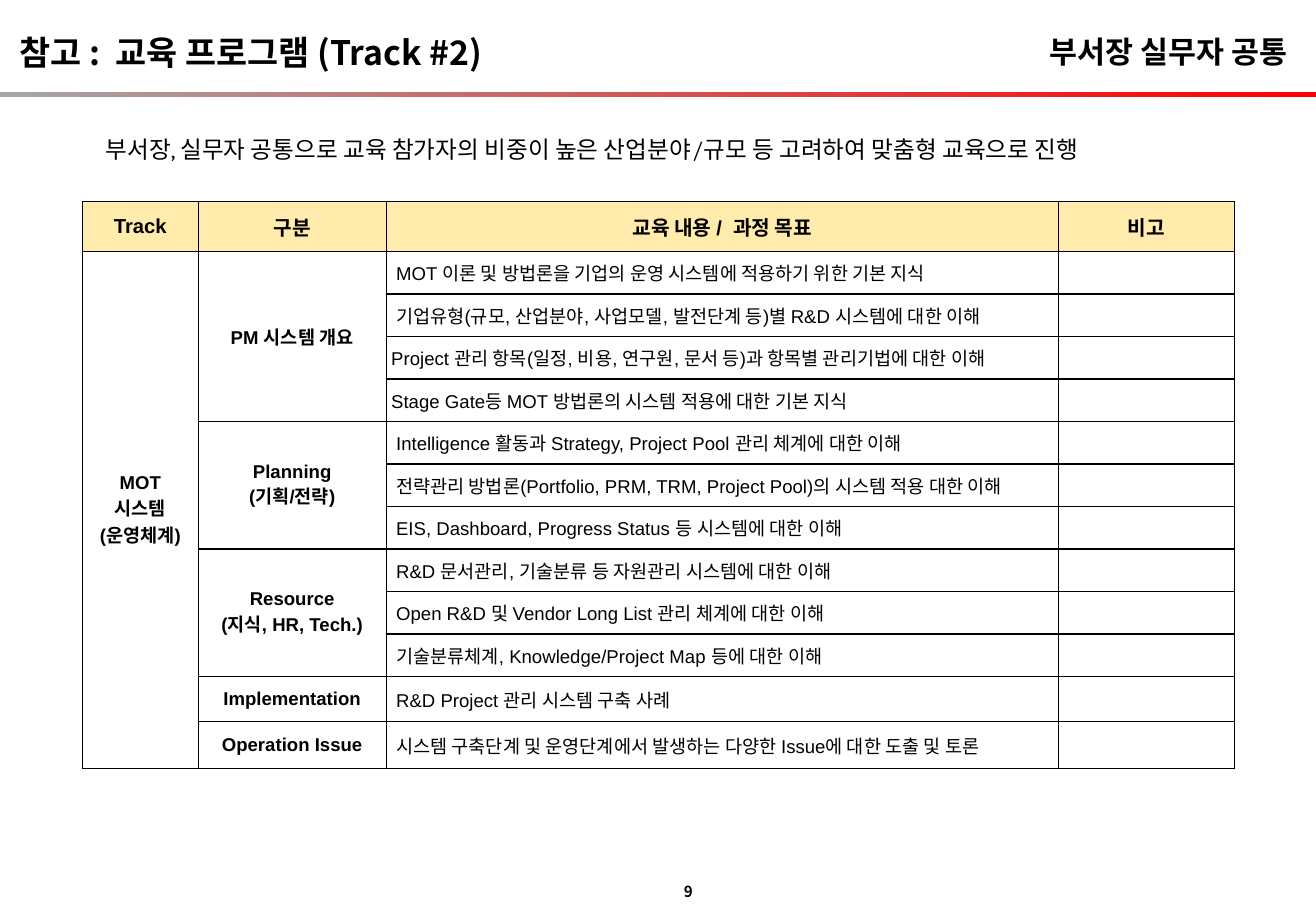
from dataclasses import dataclass

from lxml.etree import SubElement
from pptx import Presentation
from pptx.dml.color import RGBColor
from pptx.enum.shapes import MSO_SHAPE
from pptx.enum.text import MSO_ANCHOR, PP_ALIGN
from pptx.oxml.ns import qn
from pptx.util import Inches, Pt

COLORS = {"ink": "000000", "header": "FFEBAB", "rule_start": "A6A6A6", "rule_end": "FF0000"}
KOREAN_FONT = "Noto Sans CJK KR"
TABLE_FONT = "Arial"
TIGHT, LOOSE = 0.04, 0.08


@dataclass
class Label:
    text: str
    left: float
    top: float
    width: float
    height: float
    size: float
    font: str = KOREAN_FONT
    bold: bool = True
    align: PP_ALIGN = PP_ALIGN.LEFT
    anchor: MSO_ANCHOR = MSO_ANCHOR.TOP


@dataclass
class Course:
    text: str
    inset: float = LOOSE


@dataclass
class Section:
    name: str
    courses: list[Course]


LABELS = [
    Label("부서장 실무자 공통", 8.2, 0.22, 2.49, 0.4, 18,
          align=PP_ALIGN.RIGHT, anchor=MSO_ANCHOR.MIDDLE),
    Label("9", 5.52, 7.21, 0.28, 0.25, 9, align=PP_ALIGN.RIGHT, anchor=MSO_ANCHOR.MIDDLE),
    Label("참고 :  교육 프로그램 (Track #2)", 0.06, 0.21, 4.5, 0.44, 20),
    Label("부서장, 실무자 공통으로 교육 참가자의 비중이 높은 산업분야/규모 등 고려하여 맞춤형 교육으로 진행",
          0.77, 1.06, 8.91, 0.34, 14, font="Cambria", bold=False),
]

HEADERS = ["Track", "구분", "교육 내용 /  과정 목표", "비고"]
TRACK = "MOT\n시스템\n(운영체계)"
SECTIONS = [
    Section("PM 시스템 개요", [
        Course("MOT 이론 및 방법론을 기업의 운영 시스템에 적용하기 위한 기본 지식"),
        Course("기업유형(규모, 산업분야, 사업모델, 발전단계 등)별 R&D 시스템에 대한 이해"),
        Course("Project 관리 항목(일정, 비용, 연구원, 문서 등)과 항목별 관리기법에 대한 이해", TIGHT),
        Course("Stage Gate등 MOT 방법론의 시스템 적용에 대한 기본 지식", TIGHT),
    ]),
    Section("Planning\n(기획/전략)", [
        Course("Intelligence 활동과 Strategy, Project Pool 관리 체계에 대한 이해"),
        Course("전략관리 방법론(Portfolio, PRM, TRM, Project Pool)의 시스템 적용 대한 이해"),
        Course("EIS, Dashboard, Progress Status 등 시스템에 대한 이해"),
    ]),
    Section("Resource\n(지식, HR, Tech.)", [
        Course("R&D 문서관리, 기술분류 등 자원관리 시스템에 대한 이해"),
        Course("Open R&D 및 Vendor Long List 관리 체계에 대한 이해"),
        Course("기술분류체계, Knowledge/Project Map 등에 대한 이해"),
    ]),
    Section("Implementation", [Course("R&D Project 관리 시스템 구축 사례")]),
    Section("Operation Issue", [
        Course("시스템 구축단계 및 운영단계에서 발생하는 다양한 Issue에 대한 도출 및 토론"),
    ]),
]

COLUMN_WIDTHS = [0.95, 1.55, 5.53, 1.45]
ROW_HEIGHTS = [0.41] + [0.35] * 10 + [0.37, 0.39]
VERTICAL_LINES = [0.75, 0.75, 0.75, 1, 0.75]
HORIZONTAL_LINES = [0.75, 0.75] + [1] * 12


def style_paragraph(para, font: str, size: float, bold: bool, align: PP_ALIGN) -> None:
    para.alignment = align
    para.font.name = font
    para.font.size = Pt(size)
    para.font.bold = bold
    para.font.color.rgb = RGBColor.from_string(COLORS["ink"])
    # The East Asian typeface follows the Latin one
    properties = para._p.pPr.find(qn("a:defRPr"))
    SubElement(properties, qn("a:ea"), typeface=KOREAN_FONT)


def add_label(page, label: Label) -> None:
    box = page.shapes.add_textbox(Inches(label.left), Inches(label.top),
                                  Inches(label.width), Inches(label.height))
    frame = box.text_frame
    frame.word_wrap = True
    frame.vertical_anchor = label.anchor
    frame.text = label.text
    style_paragraph(frame.paragraphs[0], label.font, label.size, label.bold, label.align)


def add_header_rule(page) -> None:
    rule = page.shapes.add_shape(MSO_SHAPE.RECTANGLE, 0, Inches(0.76), Inches(10.83), Inches(0.04))
    rule.shadow.inherit = False
    rule.line.fill.background()
    rule.fill.gradient()
    rule.fill.gradient_angle = 0
    for stop, name in zip(rule.fill.gradient_stops, ("rule_start", "rule_end")):
        stop.color.rgb = RGBColor.from_string(COLORS[name])


def set_borders(cell, row: int, column: int) -> None:
    widths = {"a:lnL": VERTICAL_LINES[column], "a:lnR": VERTICAL_LINES[column + 1],
              "a:lnT": HORIZONTAL_LINES[row], "a:lnB": HORIZONTAL_LINES[row + 1]}
    properties = cell._tc.get_or_add_tcPr()
    for position, (tag, width) in enumerate(widths.items()):
        line = SubElement(properties, qn(tag), w=str(Pt(width)))
        SubElement(SubElement(line, qn("a:solidFill")), qn("a:srgbClr"), val=COLORS["ink"])
        properties.insert(position, line)


def style_cell(cell, row: int, column: int, inset: float) -> None:
    is_header = row == 0
    is_content = not is_header and column == 2
    size = 12 if is_header else 11
    cell.vertical_anchor = MSO_ANCHOR.MIDDLE
    cell.margin_left = cell.margin_right = Inches(inset)
    cell.margin_top = cell.margin_bottom = Inches(TIGHT)
    if is_header:
        cell.fill.solid()
        cell.fill.fore_color.rgb = RGBColor.from_string(COLORS["header"])
    else:
        cell.fill.background()
    set_borders(cell, row, column)
    for para in cell.text_frame.paragraphs:
        style_paragraph(para, TABLE_FONT, size, not is_content,
                        PP_ALIGN.LEFT if is_content else PP_ALIGN.CENTER)
        if not para.runs:
            # Keeps an empty cell from stretching its row
            SubElement(para._p, qn("a:endParaRPr"), sz=str(size * 100))


def add_program_table(page) -> None:
    row_count, column_count = len(ROW_HEIGHTS), len(COLUMN_WIDTHS)
    frame = page.shapes.add_table(row_count, column_count, Inches(0.68), Inches(1.66),
                                  Inches(sum(COLUMN_WIDTHS)), Inches(sum(ROW_HEIGHTS)))
    table = frame.table
    table.first_row = table.horz_banding = False
    for column, width in zip(table.columns, COLUMN_WIDTHS):
        column.width = Inches(width)
    for row, height in zip(table.rows, ROW_HEIGHTS):
        row.height = Inches(height)

    # Wording and merged groups
    for column, header in enumerate(HEADERS):
        table.cell(0, column).text = header
    table.cell(1, 0).text = TRACK
    table.cell(1, 0).merge(table.cell(row_count - 1, 0))
    insets = {}
    first = 1
    for section in SECTIONS:
        last = first + len(section.courses) - 1
        table.cell(first, 1).text = section.name
        if last > first:
            table.cell(first, 1).merge(table.cell(last, 1))
        for row, course in enumerate(section.courses, first):
            table.cell(row, 2).text = course.text
            insets[row, 2] = course.inset
        first = last + 1

    # Look of every cell
    for row in range(row_count):
        for column in range(column_count):
            style_cell(table.cell(row, column), row, column, insets.get((row, column), TIGHT))


def main() -> None:
    deck = Presentation()
    deck.slide_width, deck.slide_height = Inches(10.83), Inches(7.5)
    page = deck.slides.add_slide(deck.slide_layouts[6])
    add_header_rule(page)
    for label in LABELS:
        add_label(page, label)
    add_program_table(page)
    deck.save("out.pptx")


if __name__ == "__main__":
    main()
